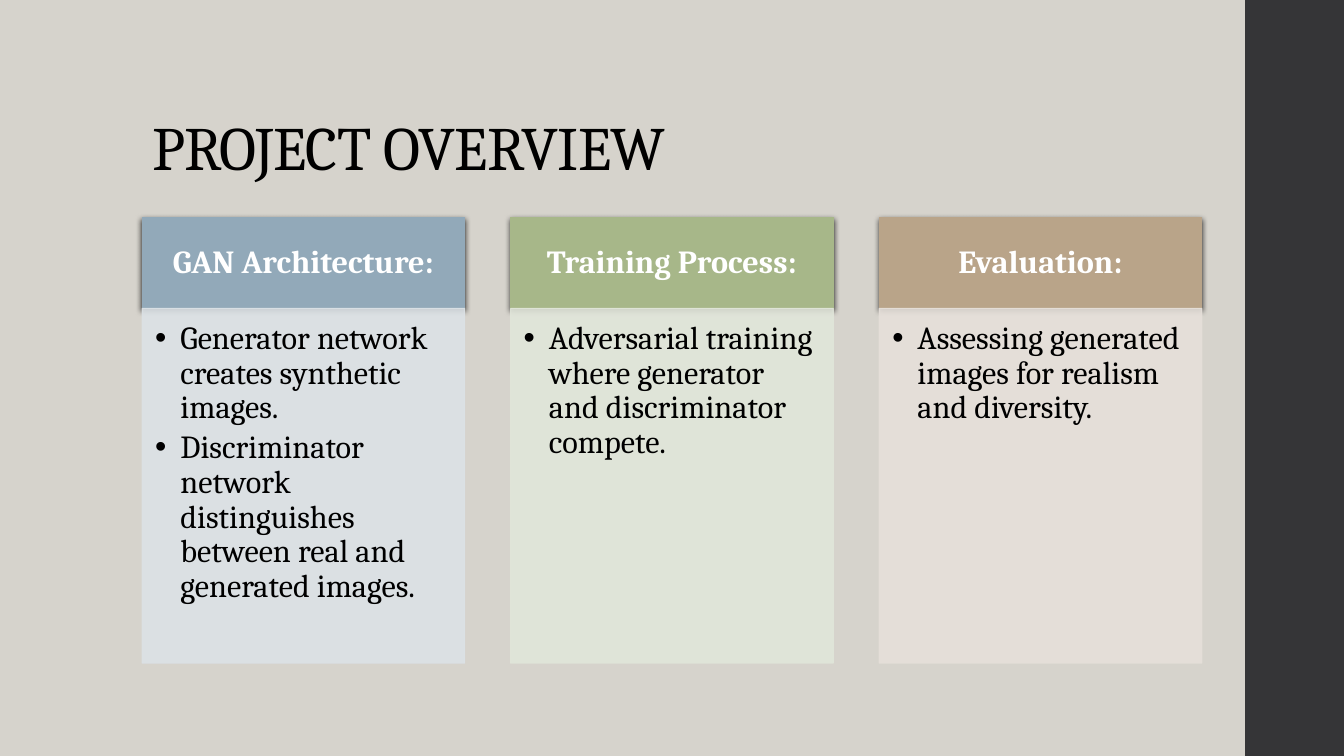
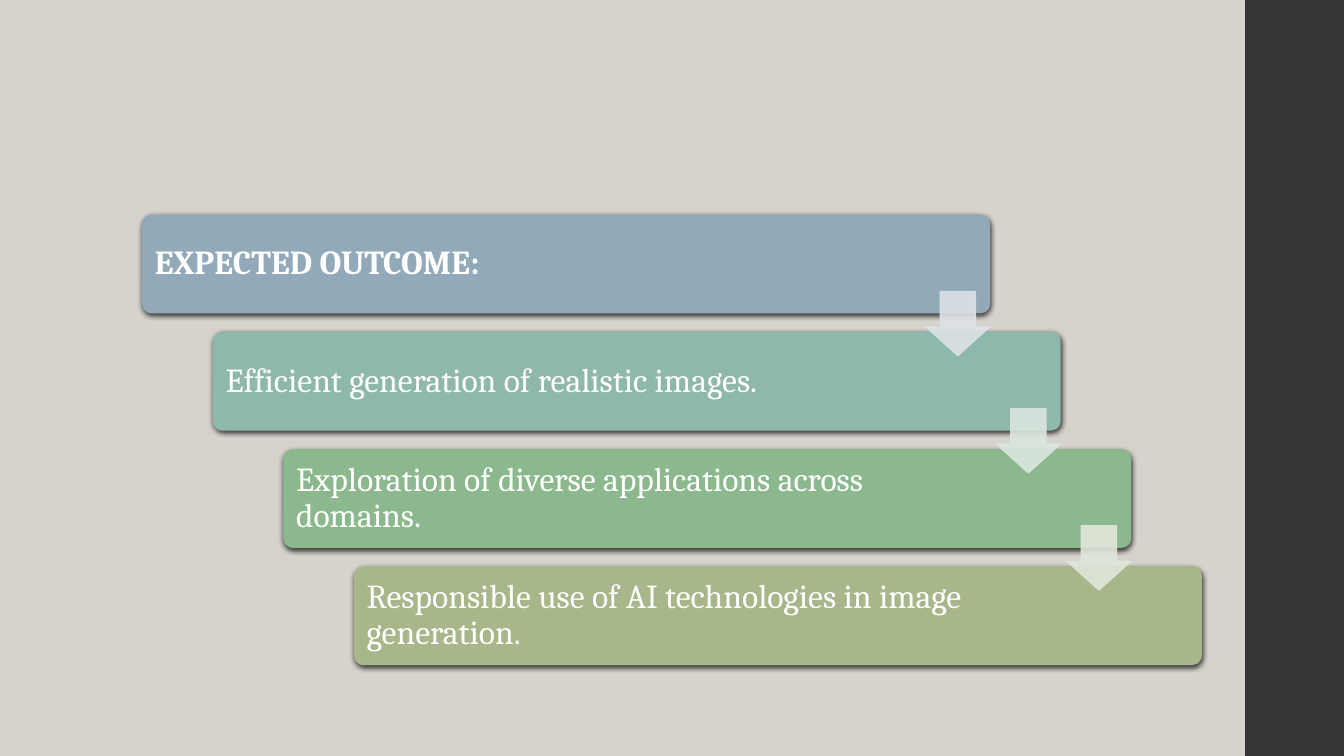
from pptx import Presentation
from pptx.dml.color import RGBColor
from pptx.enum.shapes import MSO_SHAPE as Shape
from pptx.enum.text import MSO_ANCHOR as Anchor, MSO_AUTO_SIZE as AutoSize, PP_ALIGN as Align
from pptx.oxml.ns import qn
from pptx.util import Inches, Pt
from lxml.etree import SubElement

# Shared look
FONT = "Cambria"
BACKGROUND = RGBColor(0xD6, 0xD3, 0xCC)
BAND = RGBColor(0x35, 0x35, 0x37)
BLACK = RGBColor(0x00, 0x00, 0x00)
WHITE = RGBColor(0xFF, 0xFF, 0xFF)
BLUE = RGBColor(0x92, 0xA9, 0xB9)
TEAL = RGBColor(0x8F, 0xB8, 0xAD)
GREEN = RGBColor(0x8C, 0xB8, 0x8E)
OLIVE = RGBColor(0xA7, 0xB7, 0x89)
TAN = RGBColor(0xB9, 0xA4, 0x89)
PALE_BLUE = RGBColor(0xDC, 0xE2, 0xE6)
PALE_TEAL = RGBColor(0xDB, 0xE6, 0xDF)
PALE_OLIVE = RGBColor(0xE1, 0xE6, 0xDA)
PALE_TAN = RGBColor(0xE6, 0xE0, 0xDA)
LEFT = 1.41

# Content: heading, points, heading colour, panel colour
COLUMNS = [
    ("GAN Architecture:",
     ["Generator network creates synthetic images.",
      "Discriminator network distinguishes between real and generated images."],
     BLUE, PALE_BLUE),
    ("Training Process:",
     ["Adversarial training where generator and discriminator compete."],
     OLIVE, PALE_OLIVE),
    ("Evaluation:",
     ["Assessing generated images for realism and diversity."],
     TAN, PALE_TAN),
]
# Content: step text, step colour, colour of the arrow to the next step
STEPS = [
    ("EXPECTED OUTCOME:", BLUE, PALE_BLUE),
    ("Efficient generation of realistic images.", TEAL, PALE_TEAL),
    ("Exploration of diverse applications across domains.", GREEN, PALE_OLIVE),
    ("Responsible use of AI technologies in image generation.", OLIVE, None),
]


def add_block(slide, kind, left, top, width, height, color, outlined=True):
    block = slide.shapes.add_shape(
        kind, Inches(left), Inches(top), Inches(width), Inches(height))
    block.shadow.inherit = False
    block.fill.solid()
    block.fill.fore_color.rgb = color
    if outlined:
        block.line.color.rgb = color
        block.line.width = Pt(0.75)
    else:
        block.line.fill.background()
    return block


def add_shadow(block):
    effects = block.element.spPr.find(qn("a:effectLst"))
    shadow = SubElement(effects, qn("a:outerShdw"), blurRad=str(Pt(4)),
                        dist=str(Pt(1.2)), dir="5400000", rotWithShape="0")
    black = SubElement(shadow, qn("a:srgbClr"), val="000000")
    SubElement(black, qn("a:alpha"), val="75000")


def make_translucent(block):
    for color in block.element.spPr.iter(qn("a:srgbClr")):
        SubElement(color, qn("a:alpha"), val="90000")


def add_bullet(paragraph):
    properties = paragraph._p.get_or_add_pPr()
    properties.set("marL", str(Inches(0.25)))
    properties.set("indent", str(Inches(-0.25)))
    SubElement(properties, qn("a:buFont"), typeface="Arial")
    SubElement(properties, qn("a:buChar"), char="•")


def set_text(block, lines, size, color, insets, anchor=Anchor.MIDDLE,
             align=Align.LEFT, bold=False, bullets=False):
    frame = block.text_frame
    frame.word_wrap = True
    frame.auto_size = AutoSize.NONE
    frame.vertical_anchor = anchor
    (frame.margin_left, frame.margin_top,
     frame.margin_right, frame.margin_bottom) = map(Inches, insets)
    frame.text = "\n".join(lines)
    for paragraph in frame.paragraphs:
        if bullets:
            add_bullet(paragraph)
            paragraph.space_after = Pt(3.5)
        paragraph.alignment = align
        paragraph.line_spacing = 0.9
        paragraph.font.name = FONT
        paragraph.font.size = Pt(size)
        paragraph.font.bold = bold
        paragraph.font.color.rgb = color


def set_title(slide, text):
    title = slide.shapes.title
    title.left, title.top = Inches(LEFT), Inches(0.67)
    title.width, title.height = Inches(11.15), Inches(1.2)
    set_text(title, [text], 44, BLACK, (0.1, 0.05, 0.1, 0.05), Anchor.BOTTOM)
    title.text_frame.paragraphs[0].runs[0].font._element.set("spc", "-50")


def style_master(master, slide):
    """Give the master its background and side band, built on a slide and moved."""
    master.background.fill.solid()
    master.background.fill.fore_color.rgb = BACKGROUND
    band = add_block(slide, Shape.RECTANGLE, 12.35, 0, 0.98, 7.5, BAND, outlined=False)
    master.shapes.element.insert(2, band.element)


def add_column(slide, left, heading, points, color, pale):
    top, width, head_height = 2.16, 3.2, 0.9
    head = add_block(slide, Shape.RECTANGLE, left, top, width, head_height, color)
    add_shadow(head)
    set_text(head, [heading], 23, WHITE, (0.18, 0.1, 0.18, 0.1),
             align=Align.CENTER, bold=True)
    panel = add_block(slide, Shape.RECTANGLE, left, top + head_height, width, 3.52, pale)
    make_translucent(panel)
    set_text(panel, points, 23, BLACK, (0.13, 0.13, 0.18, 0.2), Anchor.TOP, bullets=True)


def add_staircase(slide):
    width, height, arrow_size = 8.41, 0.98, 0.64
    places = [(LEFT + 0.7 * i, 2.13 + 1.163 * i) for i in range(len(STEPS))]
    for i, ((left, top), (text, color, _)) in enumerate(zip(places, STEPS)):
        step = add_block(slide, Shape.ROUNDED_RECTANGLE, left, top, width, height,
                         color, outlined=False)
        step.adjustments[0] = 0.1
        add_shadow(step)
        set_text(step, [text], 24, WHITE, (0.1, 0.1, 1.44, 0.1), bold=i == 0)
    # Arrows lie over the steps they join
    for (left, top), (_, _, pale) in zip(places[:-1], STEPS):
        arrow = add_block(slide, Shape.DOWN_ARROW, left + width - arrow_size,
                          top + 0.76, arrow_size, arrow_size, pale)
        arrow.adjustments[0], arrow.adjustments[1] = 0.55, 0.45
        make_translucent(arrow)


def main():
    prs = Presentation()
    prs.slide_width, prs.slide_height = Inches(13.33), Inches(7.5)
    title_only, blank = prs.slide_layouts[5], prs.slide_layouts[6]

    # Project overview
    overview = prs.slides.add_slide(title_only)
    style_master(prs.slide_master, overview)
    set_title(overview, "PROJECT OVERVIEW")
    for i, column in enumerate(COLUMNS):
        add_column(overview, LEFT + 3.655 * i, *column)

    # Expected outcome
    add_staircase(prs.slides.add_slide(blank))

    prs.save("out.pptx")


if __name__ == "__main__":
    main()
